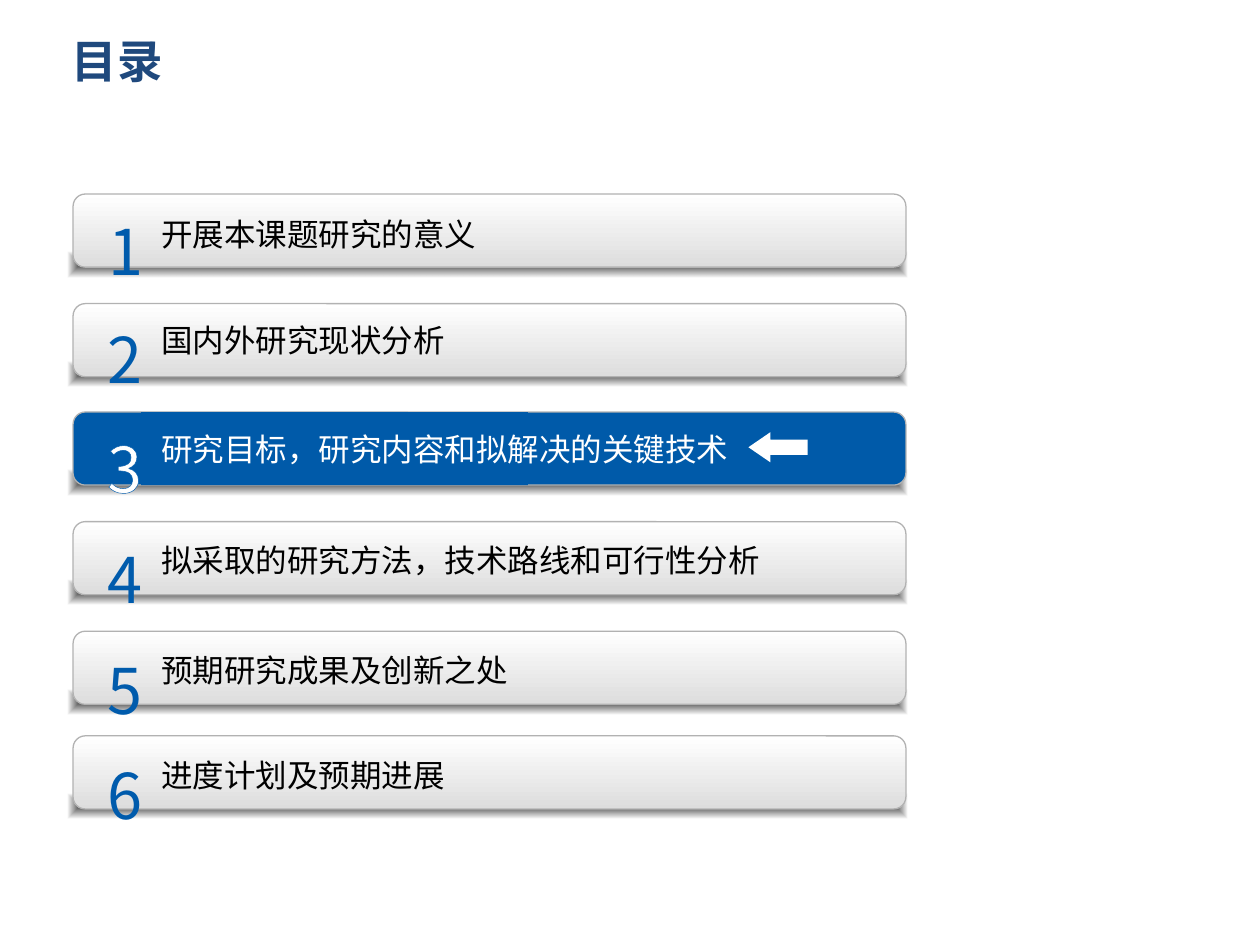
from lxml.etree import SubElement
from pptx import Presentation
from pptx.dml.color import RGBColor
from pptx.enum.shapes import MSO_SHAPE as Shape
from pptx.enum.text import MSO_ANCHOR as Anchor, PP_ALIGN as Align
from pptx.oxml import parse_xml
from pptx.oxml.ns import nsdecls, qn
from pptx.util import Inches, Pt

TITLE = "目录"
ROWS = [
    ("开展本课题研究的意义", 1.54, 1.49, 1.69, 5.45),
    ("国内外研究现状分析", 2.41, 2.41, 2.54, 3.07),
    ("研究目标，研究内容和拟解决的关键技术", 3.27, 3.27, 3.41, 3.07),
    ("拟采取的研究方法，技术路线和可行性分析", 4.14, 4.15, 4.29, 5.45),
    ("预期研究成果及创新之处", 5.01, 5.03, 5.17, 3.19),
    ("进度计划及预期进展", 5.84, 5.86, 6.0, 3.19),
]
CURRENT = 3
BAR_HEIGHT = 0.58
SHADOW_DROP = 0.46

NAVY = RGBColor(0x1F, 0x49, 0x7D)
BLUE = RGBColor(0x00, 0x5B, 0xAC)
DEEP_BLUE = RGBColor(0x00, 0x5A, 0xA9)
GREY = RGBColor(0xB2, 0xB2, 0xB2)
LIGHT_GREY = RGBColor(0xDD, 0xDD, 0xDD)
WHITE = RGBColor(0xFF, 0xFF, 0xFF)
BLACK = RGBColor(0x00, 0x00, 0x00)
CHINESE_FONT = "Noto Sans CJK SC"


def add_box(kind, left, top, width, height, fill=None, line=None):
    box = slide.shapes.add_shape(kind, *map(Inches, (left, top, width, height)))
    box.shadow.inherit = False
    if fill is None:
        box.fill.background()
    else:
        box.fill.solid()
        box.fill.fore_color.rgb = fill
    if line is None:
        box.line.fill.background()
    else:
        box.line.color.rgb = line
        box.line.width = Pt(0.75)
    return box


def add_shadow(top):
    box = add_box(Shape.RECTANGLE, 0.54, top, 6.66, 0.2, BLACK)
    gradient = parse_xml(
        f'<a:gradFill {nsdecls("a")} rotWithShape="1"><a:gsLst>'
        '<a:gs pos="0"><a:srgbClr val="000000"><a:alpha val="70000"/></a:srgbClr></a:gs>'
        '<a:gs pos="100000"><a:srgbClr val="000000"><a:alpha val="0"/></a:srgbClr></a:gs>'
        '</a:gsLst><a:path path="shape">'
        '<a:fillToRect l="50000" t="50000" r="50000" b="50000"/></a:path></a:gradFill>'
    )
    properties = box._element.spPr
    properties.replace(properties.find(qn("a:solidFill")), gradient)


def add_bar(top, current):
    bar = add_box(Shape.ROUNDED_RECTANGLE, 0.58, top, 6.61, BAR_HEIGHT, DEEP_BLUE, GREY)
    bar.adjustments[0] = 0.167
    if not current:
        bar.fill.gradient()
        bar.fill.gradient_angle = 270
        for stop, color, position in zip(bar.fill.gradient_stops, (WHITE, LIGHT_GREY), (0, 1)):
            stop.color.rgb = color
            stop.position = position


def write(box, text, size, color, font, align, anchor, insets, wrap=False):
    frame = box.text_frame
    frame.text = text
    frame.word_wrap = wrap
    frame.vertical_anchor = anchor
    frame.margin_left, frame.margin_top, frame.margin_right, frame.margin_bottom = map(Inches, insets)
    para = frame.paragraphs[0]
    para.alignment = align
    span = para.runs[0]
    span.font.size = Pt(size)
    span.font.color.rgb = color
    span.font.name = font
    SubElement(span.font._element, qn("a:ea")).set("typeface", CHINESE_FONT)
    return para


def add_number(number, top, color):
    left, width = (0.86, 0.13) if number == 1 else (0.85, 0.2)
    box = slide.shapes.add_textbox(*map(Inches, (left, top, width, 0.31)))
    para = write(box, str(number), 36, color, CHINESE_FONT, Align.CENTER, Anchor.TOP, (0, 0, 0, 0))
    outline = parse_xml(
        f'<a:ln {nsdecls("a")} w="{Pt(0.25)}"><a:solidFill>'
        f'<a:srgbClr val="{BLUE}"/></a:solidFill></a:ln>'
    )
    para.runs[0].font._element.insert(0, outline)


def add_label(text, top, width, color, fill):
    box = add_box(Shape.ROUNDED_RECTANGLE, 1.12, top, width, BAR_HEIGHT, fill)
    box.adjustments[0] = 0
    return write(box, text, 18, color, CHINESE_FONT, Align.LEFT, Anchor.MIDDLE, (0.16, 0.05, 0.1, 0.05))


deck = Presentation()
deck.slide_width, deck.slide_height = Inches(10), Inches(7.5)
slide = deck.slides.add_slide(deck.slide_layouts[6])

title = slide.shapes.add_textbox(*map(Inches, (0.47, 0.16, 9.28, 0.64)))
heading = write(title, TITLE, 26, NAVY, "Arial", Align.LEFT, Anchor.MIDDLE, (0.1, 0.05, 0.1, 0.05), True)
heading.runs[0].font.bold = True

for number, (text, bar_top, label_top, number_top, label_width) in enumerate(ROWS, 1):
    current = number == CURRENT
    add_shadow(bar_top + SHADOW_DROP)
    add_bar(bar_top, current)
    add_number(number, number_top, WHITE if current else BLUE)
    label = add_label(text, label_top, label_width, WHITE if current else BLACK, DEEP_BLUE if current else None)
    if number == 1:
        label.line_spacing = 1.5

arrow = add_box(Shape.LEFT_ARROW, 5.94, 3.43, 0.47, 0.24, WHITE)
arrow.adjustments[0], arrow.adjustments[1] = 0.5, 0.73

deck.save("out.pptx")
